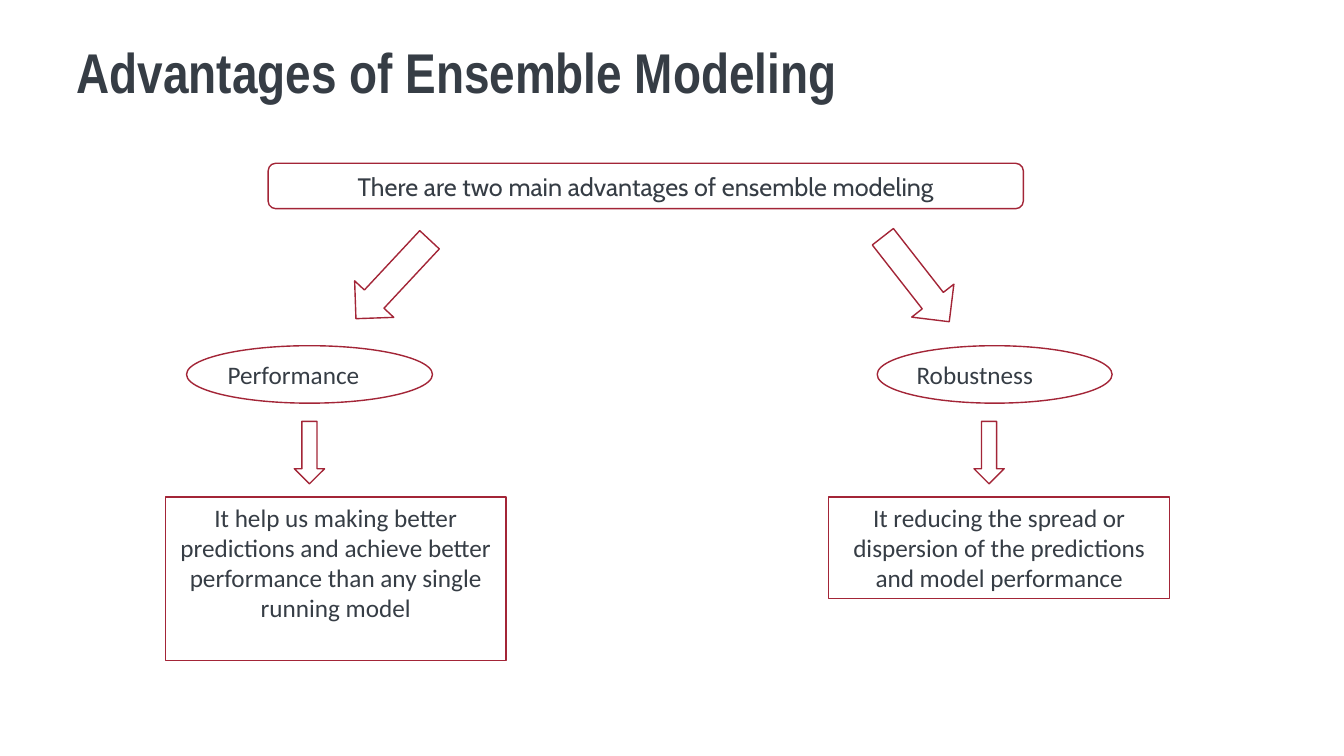
from dataclasses import dataclass

from pptx import Presentation
from pptx.dml.color import RGBColor
from pptx.enum.shapes import MSO_SHAPE
from pptx.enum.text import MSO_ANCHOR, MSO_AUTO_SIZE, PP_ALIGN
from pptx.util import Inches, Pt

RECTANGLE = MSO_SHAPE.RECTANGLE
ROUNDED = MSO_SHAPE.ROUNDED_RECTANGLE
OVAL = MSO_SHAPE.OVAL
DOWN_ARROW = MSO_SHAPE.DOWN_ARROW
TOP, MIDDLE = MSO_ANCHOR.TOP, MSO_ANCHOR.MIDDLE
LEFT, CENTER = PP_ALIGN.LEFT, PP_ALIGN.CENTER
NO_AUTOFIT = MSO_AUTO_SIZE.NONE
TITLE_ONLY = 5


@dataclass(frozen=True)
class Theme:
    """Colours, fonts and sizes of the slide."""
    ink: RGBColor = RGBColor(0x36, 0x3D, 0x45)
    outline: RGBColor = RGBColor(0xA3, 0x25, 0x37)
    paper: RGBColor = RGBColor(0xFF, 0xFF, 0xFF)
    title_font: str = "Arial Narrow"
    lead_font: str = "Cabin"
    body_font: str = "Calibri"
    title_size: int = 40
    body_size: int = 18
    line_width: int = 1
    inset: float = 0.05


THEME = Theme()
WIDTH, HEIGHT = Inches(13.33), Inches(7.5)


def area(left, top, width, height):
    """Turn percentages of the slide into left, top, width and height."""
    return (int(WIDTH * left / 100), int(HEIGHT * top / 100),
            int(WIDTH * width / 100), int(HEIGHT * height / 100))


def write(shape, text, font, size, align=CENTER, anchor=MIDDLE, bold=False):
    """Put one formatted paragraph into a shape."""
    frame = shape.text_frame
    frame.word_wrap = True
    frame.auto_size = NO_AUTOFIT
    frame.vertical_anchor = anchor
    frame.margin_left = frame.margin_right = Inches(THEME.inset)
    frame.margin_top = frame.margin_bottom = Inches(THEME.inset)
    para = frame.paragraphs[0]
    para.alignment = align
    span = para.add_run()
    span.text = text
    span.font.name = font
    span.font.size = Pt(size)
    span.font.bold = bold
    span.font.color.rgb = THEME.ink
    return para


def add_title(page, text):
    """Fill and place the title placeholder."""
    title = page.shapes.title
    title.left, title.top, title.width, title.height = area(5.33, 5.33, 87.85, 19.33)
    para = write(title, text, THEME.title_font, THEME.title_size, LEFT, TOP, True)
    para.line_spacing = 0.9


def add_outlined(page, kind, place, rotation=0):
    """Add a white shape with a red outline."""
    shape = page.shapes.add_shape(kind, *area(*place))
    shape.rotation = rotation
    shape.shadow.inherit = False
    shape.fill.solid()
    shape.fill.fore_color.rgb = THEME.paper
    shape.line.color.rgb = THEME.outline
    shape.line.width = Pt(THEME.line_width)
    return shape


def add_label(page, kind, place, text, font=THEME.body_font, align=CENTER, anchor=MIDDLE):
    """Add an outlined shape that holds text."""
    shape = add_outlined(page, kind, place)
    write(shape, text, font, THEME.body_size, align, anchor)


def add_branch(page, name, detail, name_span, detail_span, arrow_left, slant_left, angle):
    """Add one advantage: slanted arrow, name, arrow and explanation."""
    detail_left, detail_height = detail_span
    name_left, name_width = name_span
    add_label(page, RECTANGLE, (detail_left, 65.73, 25.36, detail_height), detail, anchor=TOP)
    add_label(page, OVAL, (name_left, 45.73, name_width, 7.6), name, align=LEFT)
    add_outlined(page, DOWN_ARROW, (arrow_left, 55.73, 2.25, 8.27))
    add_outlined(page, DOWN_ARROW, (slant_left, 29.8, 3.98, 14.27), angle)


def main():
    """Build and save the slide."""
    deck = Presentation()
    deck.slide_width, deck.slide_height = WIDTH, HEIGHT
    page = deck.slides.add_slide(deck.slide_layouts[TITLE_ONLY])
    add_title(page, "Advantages of Ensemble Modeling")
    add_label(page, ROUNDED, (19.95, 21.6, 56.19, 6),
              "There are two main advantages of ensemble modeling", THEME.lead_font)
    add_branch(page, "Performance",
               "It help us making better predictions and achieve better "
               "performance than any single running model",
               (13.88, 18.3), (12.3, 21.6), 21.9, 27.23, 43)
    add_branch(page, "Robustness",
               "It reducing the spread or dispersion of the predictions "
               "and model performance",
               (65.27, 17.48), (61.67, 13.47), 72.47, 66.17, 322)
    deck.save("out.pptx")


if __name__ == "__main__":
    main()
